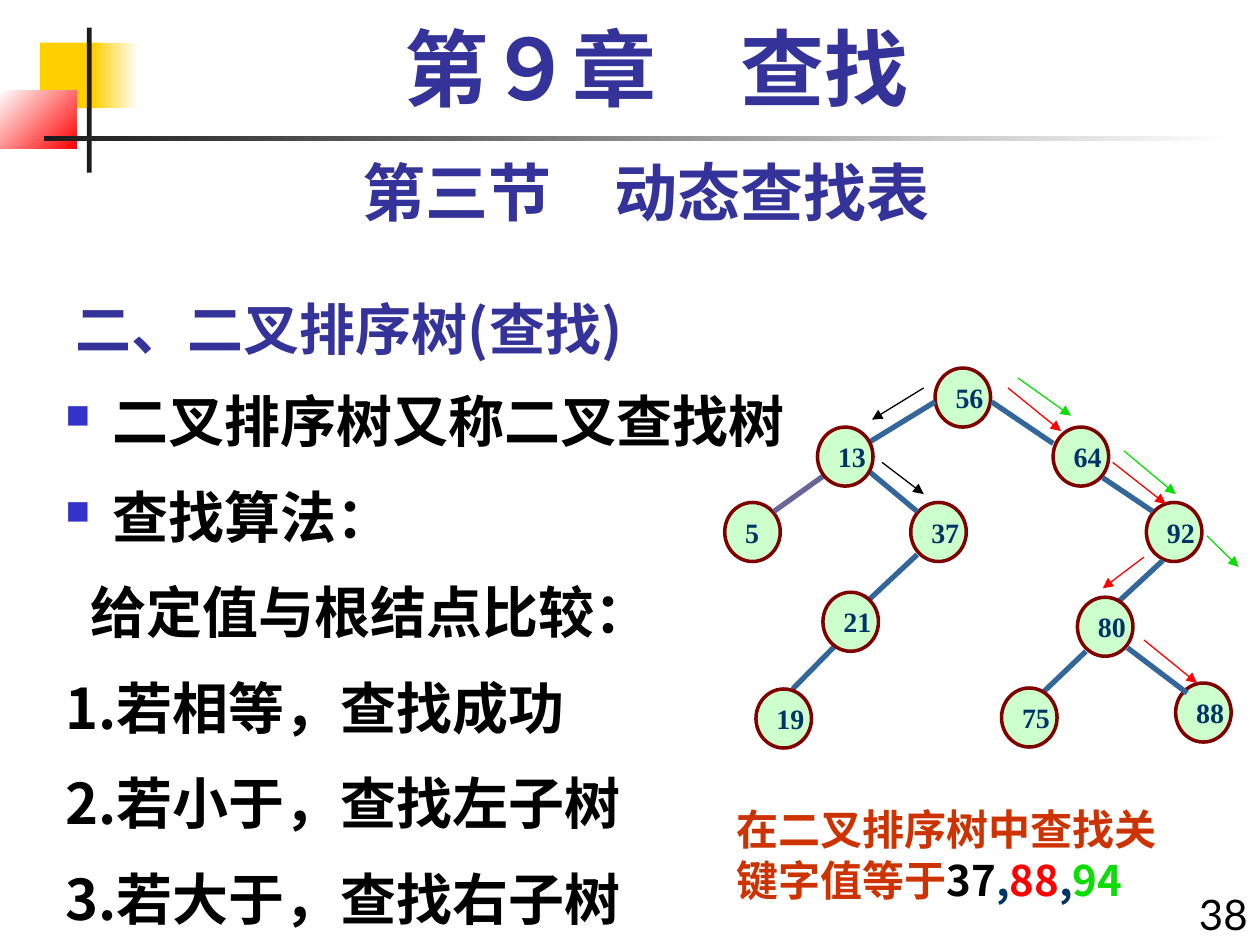
"""Build a slide on searching in a binary sort tree."""
from lxml import etree
from pptx import Presentation
from pptx.dml.color import RGBColor
from pptx.enum.shapes import MSO_CONNECTOR, MSO_SHAPE
from pptx.enum.text import MSO_ANCHOR, PP_ALIGN
from pptx.oxml.ns import qn
from pptx.util import Cm, Pt

RECT, OVAL, LINE = MSO_SHAPE.RECTANGLE, MSO_SHAPE.OVAL, MSO_CONNECTOR.STRAIGHT
LEFT, MID, RIGHT = PP_ALIGN.LEFT, PP_ALIGN.CENTER, PP_ALIGN.RIGHT
TOP, HALF, BASE = MSO_ANCHOR.TOP, MSO_ANCHOR.MIDDLE, MSO_ANCHOR.BOTTOM
HAN, LATO, TIMES = "Noto Sans CJK SC", "Lato", "Times New Roman"

HUES = {
    "gold": "FFCF01", "white": "FFFFFF", "red": "FF0000", "ink": "1C1C1C",
    "head": "333399", "black": "000000", "mark": "3333CC", "rust": "CC3300",
    "navy": "003366", "green": "0CDD07", "leaf": "CCFFCC", "rim": "800000",
    "edge": "336699", "mauve": "666699",
}

DECOR = [
    ((0.81, 0.86, 1.22, 1.32), ["gold"], 0),
    ((1.88, 0.86, 0.91, 1.32), ["gold", "white"], 0),
    ((0, 1.83, 1.55, 1.17), ["white", "red"], 315),
    ((1.75, 0.56, 0.1, 2.92), ["ink"], 0),
    ((0.89, 2.74, 24, 0.1), ["ink", "white"], 0),
]

STEPS = [
    ("二叉排序树又称二叉查找树", 0.95, True),
    ("查找算法：", 0.95, True),
    ("给定值与根结点比较：", 0.5, False),
    ("1.若相等，查找成功", 0, False),
    ("2.若小于，查找左子树", 0, False),
    ("3.若大于，查找右子树", 0, False),
]

NOTE = [("在二叉排序树中查找关键字值等于", "rust"), ("37", "black"), (",", "navy"),
        ("88", "red"), (",", "navy"), ("94", "green")]

BACK = {56: (18.85, 7.42), 64: (21.23, 8.61), 5: (14.61, 10.13),
        92: (23.11, 10.13), 37: (18.36, 10.13), 88: (23.7, 13.77)}
FRONT = {19: (15.24, 13.89), 80: (21.72, 12.04), 21: (16.59, 11.94),
         13: (16.48, 8.61), 75: (20.19, 13.87)}
NODE = (1.12, 1.19)

EDGES = {
    "edge": [
        (18.85, 8.1, 17.48, 8.94), (19.99, 8.1, 21.23, 8.94),
        (17.48, 9.47, 18.49, 10.31), (18.49, 11.18, 17.25, 12.34),
        (22.23, 9.63, 23.24, 10.31), (23.44, 11.3, 22.48, 12.19),
        (22.73, 13.06, 23.93, 13.97), (16.97, 12.88, 15.98, 13.89),
        (21.89, 13.13, 20.96, 14.02),
    ],
    "mauve": [(16.59, 9.6, 15.6, 10.31)],
}
PATHS = {
    "black": [(18.62, 7.82, 17.58, 8.46), (17.78, 9.32, 18.62, 9.96)],
    "red": [(20.32, 7.82, 21.39, 8.69), (22.43, 9.32, 23.5, 10.16),
            (23.06, 12.9, 24.13, 13.77), (23.06, 11.23, 22.23, 11.86)],
    "green": [(20.52, 7.62, 21.59, 8.38), (22.66, 9.09, 23.7, 9.96),
              (24.33, 10.8, 24.97, 11.43)],
}


def tint(name):
    return RGBColor.from_string(HUES[name])


def span(nums):
    return [Cm(n) for n in nums]


def write(para, text, font=HAN, size=32, hue="black", bold=True, align=LEFT,
          before=0, lines=1.0):
    para.alignment = align
    para.space_before = Pt(before)
    para.line_spacing = lines
    run = para.add_run()
    run.text = text
    run.font.name, run.font.size, run.font.bold = font, Pt(size), bold
    run.font.color.rgb = tint(hue)
    etree.SubElement(run.font._element, qn("a:ea"), typeface=HAN)


def box(slide, area, anchor=TOP):
    frame = slide.shapes.add_textbox(*span(area)).text_frame
    frame.word_wrap = True
    frame.vertical_anchor = anchor
    return frame


def indent(para, left, mark):
    props = para._p.get_or_add_pPr()
    props.set("marL", str(Cm(left)))
    props.set("indent", str(-Cm(left) if mark else 0))
    if mark:
        hue = etree.SubElement(props, qn("a:buClr"))
        etree.SubElement(hue, qn("a:srgbClr"), val=HUES["mark"])
        etree.SubElement(props, qn("a:buSzPct"), val="60000")
        etree.SubElement(props, qn("a:buChar"), char="■")


def block(slide, area, hues, angle):
    shape = slide.shapes.add_shape(RECT, *span(area))
    shape.shadow.inherit = False
    shape.line.fill.background()
    if len(hues) == 1:
        shape.fill.solid()
        shape.fill.fore_color.rgb = tint(hues[0])
        return
    shape.fill.gradient()
    shape.fill.gradient_angle = angle
    for stop, hue in zip(shape.fill.gradient_stops, hues):
        stop.color.rgb = tint(hue)


def nodes(slide, spots):
    for key, spot in spots.items():
        shape = slide.shapes.add_shape(OVAL, *span(spot + NODE))
        shape.shadow.inherit = False
        shape.fill.solid()
        shape.fill.fore_color.rgb = tint("leaf")
        shape.line.color.rgb = tint("rim")
        shape.line.width = Pt(2)
        frame = shape.text_frame
        frame.word_wrap = False
        frame.vertical_anchor = HALF
        write(frame.paragraphs[0], str(key), font=TIMES, size=16, hue="navy")


def links(slide, groups, width, arrow=False):
    for hue, ends in groups.items():
        for end in ends:
            link = slide.shapes.add_connector(LINE, *span(end))
            link.line.color.rgb = tint(hue)
            link.line.width = Pt(width)
            if arrow:
                etree.SubElement(link.line._get_or_add_ln(), qn("a:tailEnd"),
                                 type="triangle")
            etree.SubElement(link._element.spPr, qn("a:effectLst"))


def main():
    deck = Presentation()
    deck.slide_width, deck.slide_height = Cm(25.4), Cm(19.05)
    slide = deck.slides.add_slide(deck.slide_layouts[6])
    for part in DECOR:
        block(slide, *part)

    title = box(slide, (1.27, 5.51, 15.88, 1.91), BASE)
    write(title.paragraphs[0], "二、二叉排序树(查找)", hue="head")
    page = box(slide, (23.7, 17.78, 1.7, 1.5))
    write(page.paragraphs[0], "38", font=LATO, size=24, bold=False,
          align=RIGHT, before=15)
    topic = box(slide, (1.27, 2.97, 23.5, 1.78))
    write(topic.paragraphs[0], "第三节　动态查找表", font=LATO, size=36,
          hue="head", align=MID, before=22.5)

    body = box(slide, (1.07, 7.82, 24.33, 11.23))
    for num, (text, left, mark) in enumerate(STEPS):
        para = body.add_paragraph() if num else body.paragraphs[0]
        write(para, text, before=20, lines=0.9)
        indent(para, left, mark)

    head = box(slide, (1.7, 0.43, 23.06, 2.11))
    write(head.paragraphs[0], "第９章　查找", font=TIMES, size=48,
          hue="head", align=MID, before=12, lines=0.9)
    note = box(slide, (14.6, 16.08, 9.73, 2.29))
    for text, hue in NOTE:
        write(note.paragraphs[0], text, size=24, hue=hue, before=15)

    nodes(slide, BACK)
    links(slide, EDGES, 3)
    nodes(slide, FRONT)
    links(slide, PATHS, 0.75, arrow=True)
    deck.save("out.pptx")


if __name__ == "__main__":
    main()
